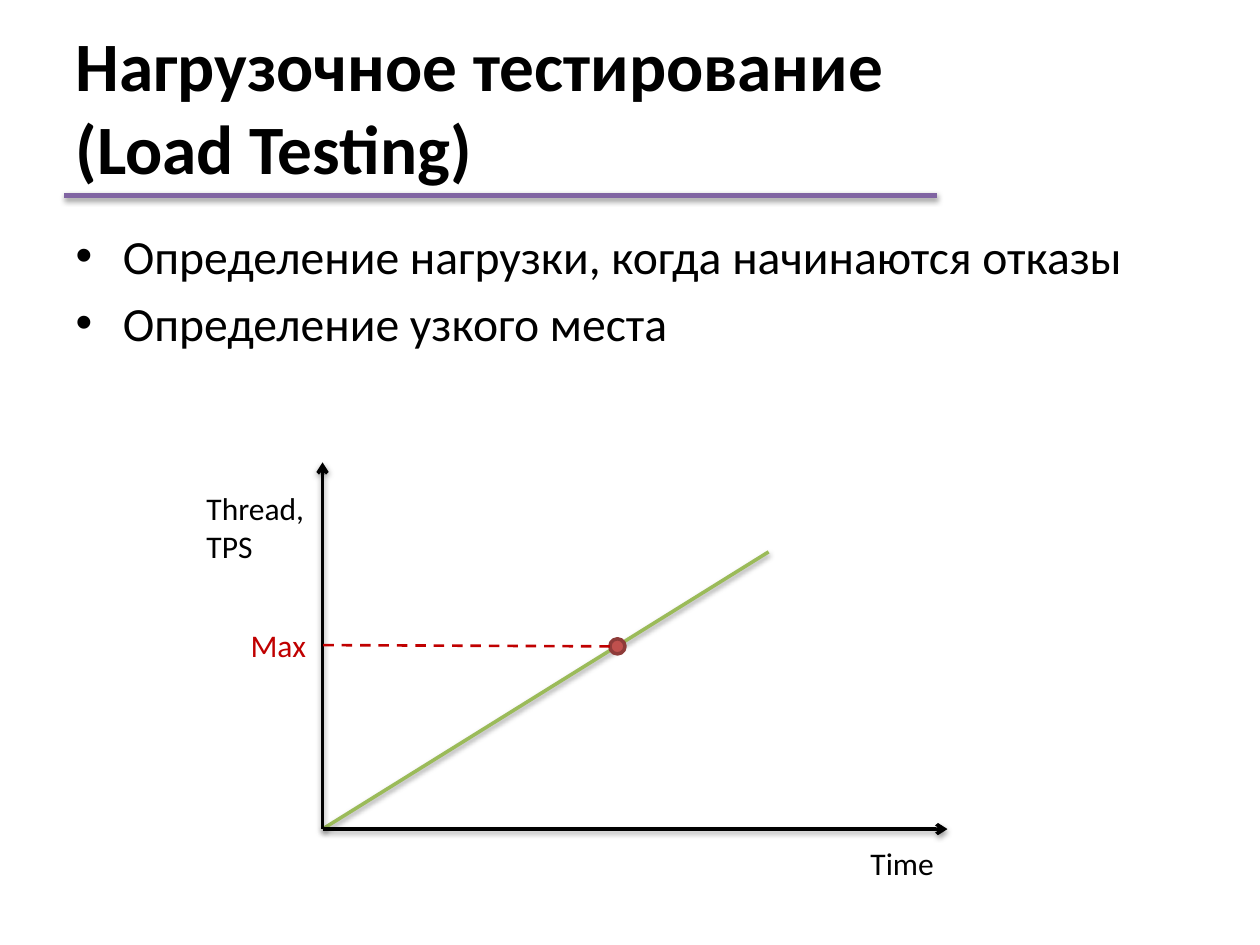
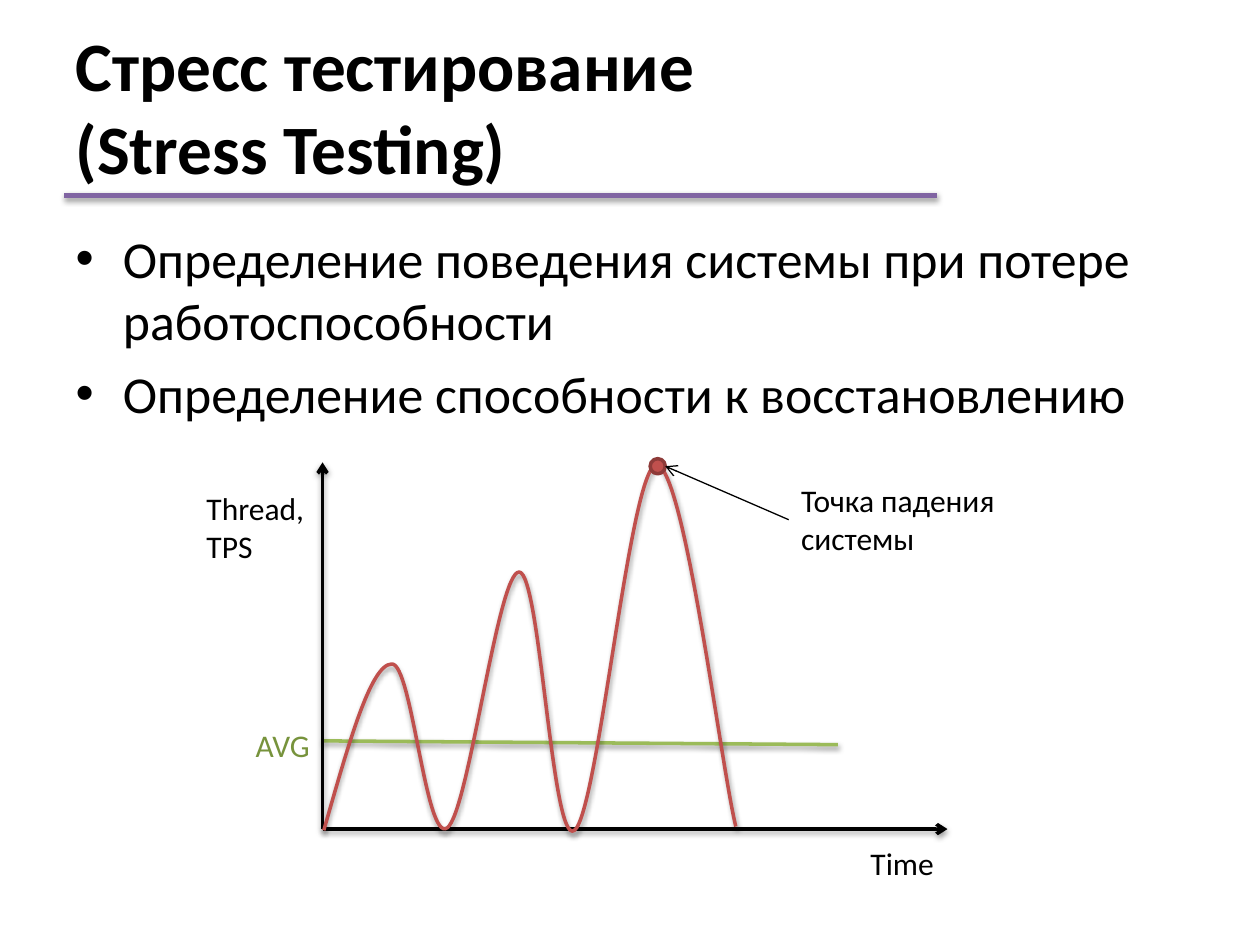
from dataclasses import dataclass
from lxml.etree import SubElement
from pptx import Presentation
from pptx.dml.color import RGBColor
from pptx.enum.dml import MSO_LINE
from pptx.enum.shapes import MSO_CONNECTOR, MSO_SHAPE
from pptx.enum.text import MSO_ANCHOR, MSO_AUTO_SIZE, PP_ALIGN
from pptx.oxml.ns import qn
from pptx.util import Emu, Inches, Pt


@dataclass(frozen=True)
class Theme:
    font: str = "Calibri"
    ink: str = "000000"
    rule: str = "8064A2"
    green: str = "9BBB59"
    green_text: str = "77933C"
    red: str = "C0504D"
    red_edge: str = "8E3B39"
    red_text: str = "C00000"
    title_size: float = 39.6
    label_size: float = 18
    thin: float = 0.75
    dashed: float = 1.5
    line: float = 2
    thick: float = 3


THEME = Theme()
WIDTH, HEIGHT = Inches(10), Inches(7.5)
COLUMNS = 100
ORIGIN = (25.6, 65.8)
AXIS_TOP = (25.6, 36.7)
AXIS_RIGHT = (75.2, 65.8)
DOT = 1.2
LOAD_CURVE = [
    (25.7, 65.9),
    (27.6, 59.3), (29.4, 52.7), (31.1, 52.7),
    (32.7, 52.6), (33.8, 67), (35.5, 65.7),
    (37.2, 64.5), (39.5, 45.4), (41.2, 45.4),
    (42.9, 45.4), (43.8, 67.3), (45.6, 65.9),
    (47.5, 64.4), (50, 37), (52.1, 36.9),
    (54.3, 36.9), (57.2, 60.7), (58.4, 65.6),
]


def cells(*counts):
    return [Emu(round(n * WIDTH / COLUMNS)) for n in counts]


def apply(obj, values):
    for name, value in values.items():
        setattr(obj, name, value)


def format_font(font, size, color=THEME.ink, bold=False):
    apply(font, {"name": THEME.font, "size": Pt(size), "bold": bold})
    font.color.rgb = RGBColor.from_string(color)


def format_line(sp, color, width, dash=None):
    sp.line.color.rgb = RGBColor.from_string(color)
    apply(sp.line, {"width": Pt(width), "dash_style": dash})


def add_effects(sp, shadow):
    effects = SubElement(sp.element.spPr, qn("a:effectLst"))
    if shadow:
        outer = SubElement(effects, qn("a:outerShdw"), blurRad=str(Pt(3.1)),
                           dist=str(Pt(1.6)), dir="5400000", rotWithShape="0")
        black = SubElement(outer, qn("a:srgbClr"), val=THEME.ink)
        SubElement(black, qn("a:alpha"), val="38000")


def add_line(s, start, end, color, width=THEME.line, shadow=True, arrow=False, dash=None):
    sp = s.shapes.add_connector(MSO_CONNECTOR.STRAIGHT, *cells(*start, *end))
    format_line(sp, color, width, dash)
    if arrow:
        SubElement(sp.element.spPr.find(qn("a:ln")), qn("a:tailEnd"), type="arrow")
    add_effects(sp, shadow)
    return sp


def add_label(s, text, box, color=THEME.ink, wrap=True):
    sp = s.shapes.add_textbox(*cells(*box))
    tf = sp.text_frame
    apply(tf, {"text": text, "word_wrap": wrap, "auto_size": MSO_AUTO_SIZE.SHAPE_TO_FIT_TEXT})
    format_font(tf.paragraphs[0].font, THEME.label_size, color)
    return sp


def add_dot(s, x, y):
    sp = s.shapes.add_shape(MSO_SHAPE.FLOWCHART_CONNECTOR,
                            *cells(x - DOT / 2, y - DOT / 2, DOT, DOT))
    sp.shadow.inherit = False
    sp.fill.solid()
    sp.fill.fore_color.rgb = RGBColor.from_string(THEME.red)
    format_line(sp, THEME.red_edge, THEME.line)


def add_curve(s, points, color):
    start, *rest = [cells(*point) for point in points]
    builder = s.shapes.build_freeform(*start)
    builder.add_line_segments(rest, close=False)
    sp = builder.convert_to_shape()
    outline = sp.element.spPr.find(".//" + qn("a:path"))
    segments = outline.findall(qn("a:lnTo"))
    for i in range(0, len(segments), 3):
        bend = SubElement(outline, qn("a:cubicBezTo"))
        for segment in segments[i:i + 3]:
            bend.append(segment[0])
            outline.remove(segment)
    sp.fill.background()
    format_line(sp, color, THEME.line)
    add_effects(sp, True)


def place(sp, box):
    apply(sp, dict(zip(("left", "top", "width", "height"), cells(*box))))


def add_topic(prs, title, title_width, bullets, body_height, size):
    s = prs.slides.add_slide(prs.slide_layouts[1])
    heading, body = s.placeholders
    place(heading, (5, 2.1, title_width, 12.5))
    tf = heading.text_frame
    apply(tf, {"text": title, "vertical_anchor": MSO_ANCHOR.MIDDLE,
               "auto_size": MSO_AUTO_SIZE.NONE})
    p = tf.paragraphs[0]
    p.alignment = PP_ALIGN.LEFT
    format_font(p.font, THEME.title_size, bold=True)

    place(body, (5, 17.5, 90, body_height))
    tf = body.text_frame
    apply(tf, {"text": "\n".join(bullets), "auto_size": MSO_AUTO_SIZE.NONE})
    for i, p in enumerate(tf.paragraphs):
        p.space_before = Pt(size * 0.2 if i else 0)
        format_font(p.font, size)
    add_line(s, (5.1, 15.5), (74.4, 15.5), THEME.rule, THEME.thick)
    return s


def add_axes(s):
    for end in (AXIS_TOP, AXIS_RIGHT):
        add_line(s, ORIGIN, end, THEME.ink, arrow=True)
    add_label(s, "Thread, TPS", (15.4, 38.3, 10.2, 7.1))
    add_label(s, "Time", (68.1, 66.5, 7.1, 4), wrap=False)


def build_load_testing(prs):
    s = add_topic(prs, "Нагрузочное тестирование\v(Load Testing)", 93,
                  ["Определение нагрузки, когда начинаются отказы",
                   "Определение узкого места"], 11.3, 27.2)
    add_line(s, ORIGIN, (61, 43.8), THEME.green)
    add_axes(s)
    add_dot(s, 49, 51.3)
    limit = add_label(s, "Max", (18.9, 49.2, 6.7, 4), THEME.red_text)
    guide = add_line(s, (48.4, 51.3), (25.6, 51.3), THEME.red_text, THEME.dashed,
                     shadow=False, dash=MSO_LINE.DASH)
    guide.end_connect(limit, 3)


def build_stress_testing(prs):
    s = add_topic(prs, "Стресс тестирование\v(Stress Testing)", 90,
                  ["Определение поведения системы при потере работоспособности",
                   "Определение способности к восстановлению"], 16.9, 29.6)
    add_line(s, (66.5, 59.1), (25.6, 58.8), THEME.green)
    add_axes(s)
    add_label(s, "AVG", (19.3, 57.1, 6.7, 4), THEME.green_text)
    add_curve(s, LOAD_CURVE, THEME.red)
    add_dot(s, 52.2, 37)
    failure = add_label(s, "Точка падения системы", (62.6, 37.7, 18, 7.1))
    pointer = add_line(s, (62.6, 41.2), (52.8, 37), THEME.ink, THEME.thin,
                       shadow=False, arrow=True)
    pointer.begin_connect(failure, 1)


def main():
    prs = Presentation()
    apply(prs, {"slide_width": WIDTH, "slide_height": HEIGHT})
    build_load_testing(prs)
    build_stress_testing(prs)
    prs.save("out.pptx")


if __name__ == "__main__":
    main()
